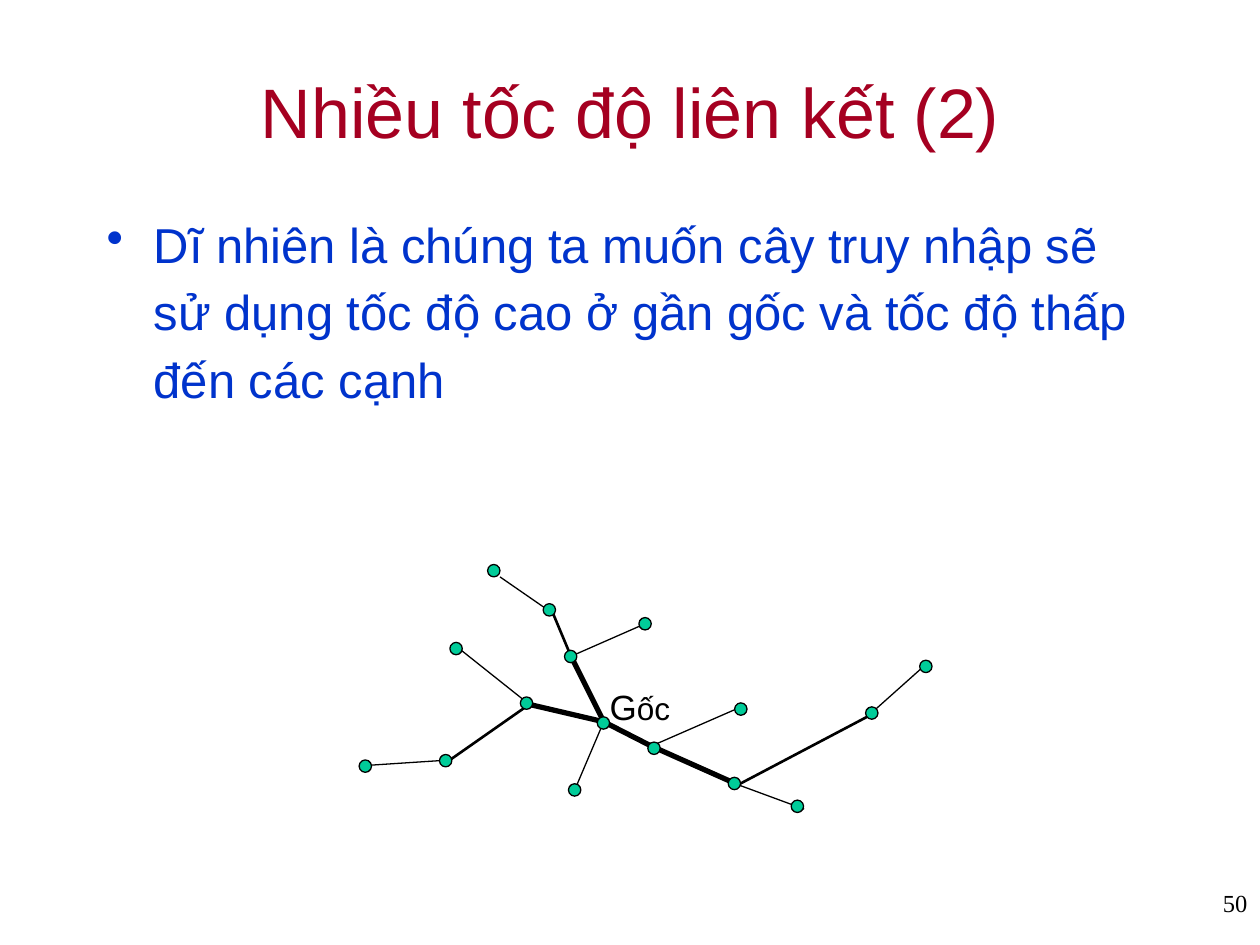
import pptx
import pptx.util
import pptx.dml.color
import pptx.enum.shapes
import pptx.enum.text
import pptx.oxml.ns
import lxml.etree

Cm = pptx.util.Cm
Pt = pptx.util.Pt
RGBColor = pptx.dml.color.RGBColor
Align = pptx.enum.text.PP_ALIGN
Anchor = pptx.enum.text.MSO_ANCHOR
qn = pptx.oxml.ns.qn

BLACK = RGBColor(0x00, 0x00, 0x00)
CRIMSON = RGBColor(0xA5, 0x00, 0x21)
BLUE = RGBColor(0x00, 0x33, 0xCC)
GREEN = RGBColor(0x00, 0xCC, 0x99)

TITLE = "Nhiều tốc độ liên kết (2)"
BODY = ("Dĩ nhiên là chúng ta muốn cây truy nhập sẽ sử dụng tốc độ cao "
        "ở gần gốc và tốc độ thấp đến các cạnh")
ROOT_LABEL = [("G", 20), ("ốc", 18)]
SLIDE_NUMBER = "50"

DOT_SIZE = 0.25
HIGH, MEDIUM, LOW = 3, 1.5, 0.75

# name: (dot left, dot top, joint x, joint y)
NODES = {
    "root": (12.04, 14.45, 12.17, 14.55),
    "north": (11.38, 13.11, 11.51, 13.23),
    "north leaf": (12.88, 12.45, 12.90, 12.62),
    "upper": (10.95, 12.17, 11.15, 12.37),
    "upper leaf": (9.83, 11.38, 10.08, 11.63),
    "west": (10.49, 14.05, 10.67, 14.20),
    "west leaf": (9.07, 12.95, 9.30, 13.11),
    "far west": (8.86, 15.21, 9.07, 15.32),
    "far west leaf": (7.24, 15.32, 7.24, 15.44),
    "south leaf": (11.46, 15.80, 11.63, 15.82),
    "east": (13.06, 14.96, 13.13, 15.04),
    "east leaf": (14.81, 14.17, 14.94, 14.25),
    "southeast": (14.68, 15.67, 14.88, 15.82),
    "southeast leaf": (15.95, 16.13, 16.21, 16.31),
    "far east": (17.45, 14.25, 17.48, 14.45),
    "far east leaf": (18.54, 13.31, 18.59, 13.46),
}

LINKS = [
    ("root", "north", HIGH),
    ("root", "west", HIGH),
    ("root", "east", HIGH),
    ("east", "southeast", HIGH),
    ("north", "upper", MEDIUM),
    ("west", "far west", MEDIUM),
    ("southeast", "far east", MEDIUM),
    ("root", "south leaf", LOW),
    ("north", "north leaf", LOW),
    ("upper", "upper leaf", LOW),
    ("west", "west leaf", LOW),
    ("far west", "far west leaf", LOW),
    ("east", "east leaf", LOW),
    ("southeast", "southeast leaf", LOW),
    ("far east", "far east leaf", LOW),
]


def write_text(shape, runs, box, color, font="Arial", align=Align.LEFT,
               anchor=Anchor.TOP, wrap=True, bullet=None):
    shape.left, shape.top, shape.width, shape.height = map(Cm, box)
    frame = shape.text_frame
    frame.auto_size = pptx.enum.text.MSO_AUTO_SIZE.NONE
    frame.word_wrap = wrap
    frame.vertical_anchor = anchor
    paragraph = frame.paragraphs[0]
    paragraph.alignment = align
    if bullet:
        properties = paragraph._p.get_or_add_pPr()
        properties.set("marL", str(Cm(0.95)))
        properties.set("indent", str(-Cm(0.95)))
        mark = lxml.etree.SubElement(properties, qn("a:buChar"))
        mark.set("char", bullet)
        paragraph.line_spacing = 1.15
    for text, size in runs:
        run = paragraph.add_run()
        run.text = text
        run.font.size = Pt(size)
        run.font.name = font
        run.font.color.rgb = color


def add_link(slide, start, end, weight):
    ends = [Cm(value) for name in (start, end) for value in NODES[name][2:]]
    link = slide.shapes.add_connector(
        pptx.enum.shapes.MSO_CONNECTOR.STRAIGHT, *ends)
    link.line.color.rgb = BLACK
    link.line.width = Pt(weight)
    lxml.etree.SubElement(link._element.spPr, qn("a:effectLst"))


def add_dot(slide, left, top):
    dot = slide.shapes.add_shape(
        pptx.enum.shapes.MSO_SHAPE.OVAL,
        Cm(left), Cm(top), Cm(DOT_SIZE), Cm(DOT_SIZE))
    dot.shadow.inherit = False
    dot.fill.solid()
    dot.fill.fore_color.rgb = GREEN
    dot.line.color.rgb = BLACK
    dot.line.width = Pt(0.75)


def main():
    presentation = pptx.Presentation()
    presentation.slide_width, presentation.slide_height = Cm(25.4), Cm(19.05)
    slide = presentation.slides.add_slide(presentation.slide_layouts[5])

    def new_box():
        return slide.shapes.add_textbox(0, 0, 0, 0)

    write_text(slide.shapes.title, [(TITLE, 40)], (1.9, 0.64, 21.6, 3.18),
               CRIMSON, align=Align.CENTER, anchor=Anchor.MIDDLE)
    write_text(new_box(), [(BODY, 28)], (1.9, 4.02, 21.6, 12.06),
               BLUE, bullet="•")
    write_text(new_box(), [(SLIDE_NUMBER, 14)], (20.12, 17.78, 5.28, 1.27),
               BLACK, font="Times New Roman", align=Align.RIGHT)

    for start, end, weight in LINKS:
        add_link(slide, start, end, weight)
    for left, top, *joint in NODES.values():
        add_dot(slide, left, top)
    write_text(new_box(), ROOT_LABEL, (12.04, 13.69, 1.73, 1.09),
               BLACK, wrap=False)

    presentation.save("out.pptx")


if __name__ == "__main__":
    main()
